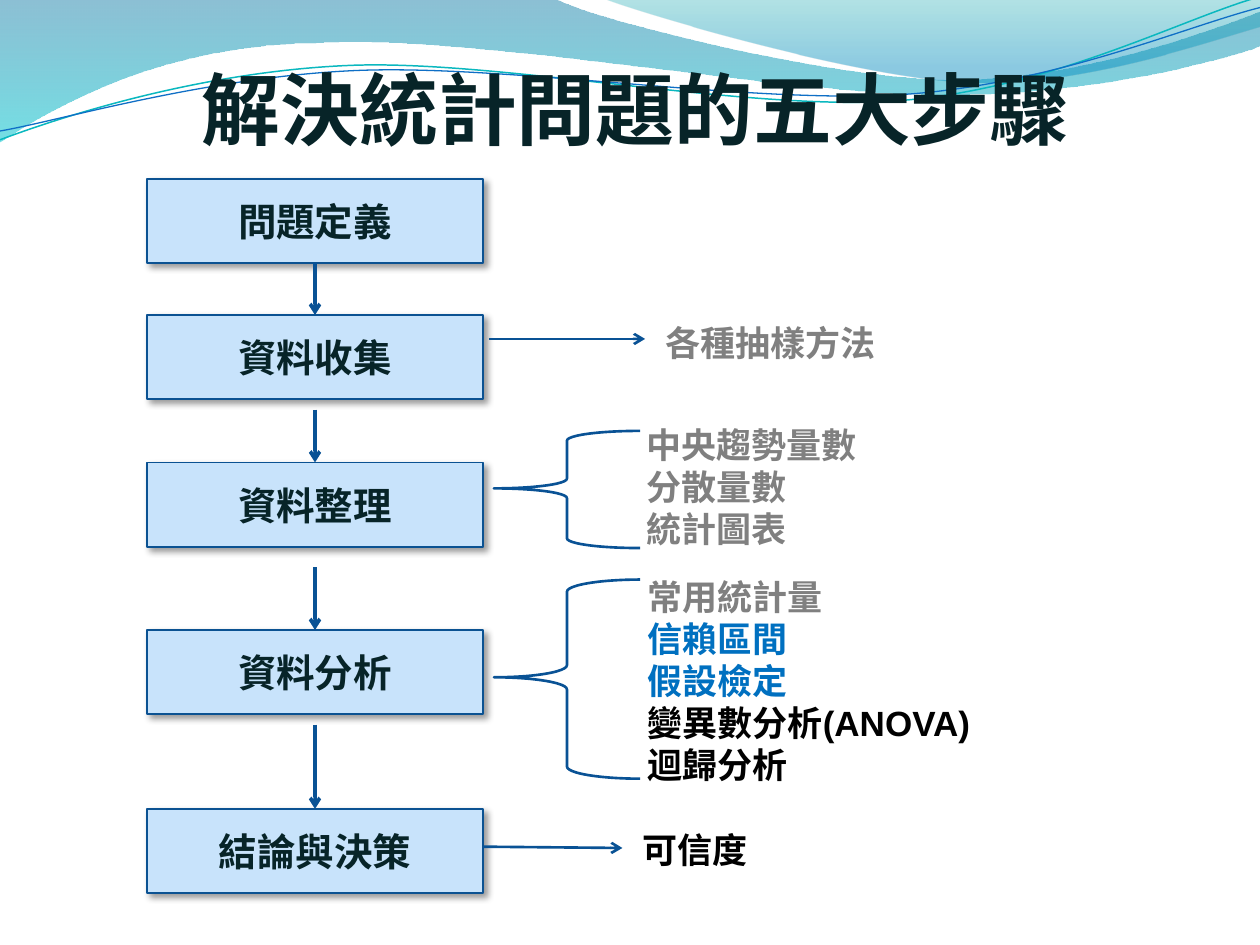
from dataclasses import dataclass
from typing import Optional

from lxml.etree import SubElement
from pptx import Presentation
from pptx.dml.color import RGBColor
from pptx.enum.shapes import MSO_CONNECTOR as CONN, MSO_SHAPE as SHAPE
from pptx.enum.text import MSO_ANCHOR as ANCHOR, MSO_AUTO_SIZE as FIT, PP_ALIGN as ALIGN
from pptx.oxml.ns import qn
from pptx.util import Inches, Pt

DARK, GREY, BLUE, BLACK = "072428", "808080", "0070C0", "000000"
BOX_FILL, BOX_LINE, ARROW = "C8E3FB", "0B5292", "095295"
BOX_MID, BOX_W, BOX_H = 2.5, 2.67, 0.67

Point = tuple[float, float]


@dataclass
class Wave:
    """A start point, then one point per straight edge or three per Bézier curve."""
    start: Point
    segments: list[tuple[float, ...]]
    stops: tuple[tuple[float, str, int], ...] = ()  # position, colour, opacity %
    line: Optional[tuple[str, float]] = None


@dataclass
class Step:
    text: str
    top: float
    arrow_from: Optional[float] = None  # None: joined to the box above


@dataclass
class Note:
    left: float
    top: float
    width: float
    height: float
    lines: list[tuple[str, str]]


WAVES = [
    Wave((0, -0.01), [(4.4, -0.01), (4.76, 0.17, 6.64, 0.63, 7.58, 0.63),
                      (8.53, 0.63, 9.58, 0.26, 10, 0.09), (10.01, 0.36),
                      (9.83, 0.44, 8.7, 0.76, 7.46, 0.75),
                      (6.22, 0.75, 3.82, 0.28, 2.57, 0.34),
                      (1.29, 0.35, 0.46, 0.83, -0.01, 1.13)],
         stops=((0, "0074A1", 45), (1, "00C6CF", 55))),
    Wave((4.79, -0.01), [(5.09, 0.11, 6.82, 0.62, 7.69, 0.65),
                         (8.56, 0.69, 9.61, 0.32, 10, 0.21), (10, 0)],
         stops=((0, "00A1A9", 30), (0.8, "008BBF", 45))),
    Wave((0, 1.11), [(0.48, 0.93, 1.58, 0.57, 2.77, 0.52),
                     (3.95, 0.47, 5.93, 0.89, 7.13, 0.8),
                     (8.33, 0.71, 9.38, 0.15, 9.98, -0.02)], line=("0AB8BF", 0.85)),
    Wave((0, 1.04), [(0.47, 0.96, 1.64, 0.61, 2.83, 0.56),
                     (4.03, 0.51, 5.97, 0.83, 7.17, 0.75),
                     (8.36, 0.67, 9.41, 0.21, 10, 0.06)], line=("0F6FC6", 0.75)),
]
STEPS = [Step("問題定義", 1.42), Step("資料收集", 2.5), Step("資料整理", 3.67, 3.25),
         Step("資料分析", 5, 4.5), Step("結論與決策", 6.42, 5.75)]
NOTES = [
    Note(5.18, 2.5, 1.88, 0.44, [("各種抽樣方法", GREY)]),
    Note(5.03, 3.31, 1.88, 1.11,
         [("中央趨勢量數", GREY), ("分散量數", GREY), ("統計圖表", GREY)]),
    Note(5.04, 4.52, 2.84, 1.78,
         [("常用統計量", GREY), ("信賴區間", BLUE), ("假設檢定", BLUE),
          ("變異數分析(ANOVA)", BLACK), ("迴歸分析", BLACK)]),
    Note(5, 6.53, 1.04, 0.44, [("可信度", BLACK)]),
]
NOTE_ARROWS = [((3.88, 2.69), (5.12, 2.69)), ((3.83, 6.72), (4.94, 6.73))]
BRACES = [(3.42, 0.93), (4.6, 1.58)]  # top, height


def rgb(value: str) -> RGBColor:
    return RGBColor.from_string(value)


def set_line(shape, color: str, width: float) -> None:
    shape.line.color.rgb = rgb(color)
    shape.line.width = Pt(width)


def write(p, text: str, size: float, font: str, color: str) -> None:
    r = p.add_run()
    r.text = text
    for name, value in {"size": Pt(size), "name": font, "bold": True}.items():
        setattr(r.font, name, value)
    r.font.color.rgb = rgb(color)


def bend_edges(sp, segments: list[tuple[float, ...]]) -> None:
    """Turn each edge that has control points into a cubic curve."""
    edges = list(sp._element.spPr.iter(qn("a:lnTo")))
    for edge, segment in zip(edges, segments):
        if len(segment) == 2:
            continue
        edge.tag = qn("a:cubicBezTo")
        for pt in list(edge):
            edge.remove(pt)
        for x, y in zip(segment[::2], segment[1::2]):
            SubElement(edge, qn("a:pt"), x=str(Inches(x) - sp.left), y=str(Inches(y) - sp.top))


def draw_wave(s, wave: Wave) -> None:
    builder = s.shapes.build_freeform(*map(Inches, wave.start))
    ends = [tuple(map(Inches, segment[-2:])) for segment in wave.segments]
    builder.add_line_segments(ends, close=bool(wave.stops))
    sp = builder.convert_to_shape()
    bend_edges(sp, wave.segments)
    sp.shadow.inherit = False
    if wave.line:
        sp.fill.background()
        set_line(sp, *wave.line)
        return
    sp.line.fill.background()
    sp.fill.gradient()
    sp.fill.gradient_angle = 270
    for stop, (position, color, _) in zip(sp.fill.gradient_stops, wave.stops):
        stop.position = position
        stop.color.rgb = rgb(color)
    for clr, (_, _, opacity) in zip(sp._element.spPr.iter(qn("a:srgbClr")), wave.stops):
        SubElement(clr, qn("a:alpha"), val=str(opacity * 1000))


def add_soft_shadow(sp) -> None:
    sp.shadow.inherit = False
    effects = sp._element.spPr.find(qn("a:effectLst"))
    shadow = SubElement(effects, qn("a:outerShdw"), blurRad=str(Pt(4)), dist=str(Pt(3)),
                        dir="2700000", algn="tl", rotWithShape="0")
    clr = SubElement(shadow, qn("a:srgbClr"), val=BLACK)
    SubElement(clr, qn("a:alpha"), val="40000")


def draw_box(s, step: Step):
    sp = s.shapes.add_shape(SHAPE.RECTANGLE, Inches(BOX_MID - BOX_W / 2), Inches(step.top),
                            Inches(BOX_W), Inches(BOX_H))
    sp.fill.solid()
    sp.fill.fore_color.rgb = rgb(BOX_FILL)
    set_line(sp, BOX_LINE, 1)
    add_soft_shadow(sp)
    sp.text_frame.vertical_anchor = ANCHOR.MIDDLE
    p = sp.text_frame.paragraphs[0]
    p.alignment = ALIGN.CENTER
    write(p, step.text, 22, "Cambria", DARK)
    return sp


def draw_arrow(s, start: Point, end: Point, width: float):
    c = s.shapes.add_connector(CONN.STRAIGHT, *map(Inches, start + end))
    set_line(c, ARROW, width)
    SubElement(c.line._get_or_add_ln(), qn("a:tailEnd"), type="arrow")
    SubElement(c._element.spPr, qn("a:effectLst"))
    return c


def draw_note(s, note: Note) -> None:
    box = s.shapes.add_textbox(*map(Inches, (note.left, note.top, note.width, note.height)))
    tf = box.text_frame
    tf.word_wrap = False
    tf.auto_size = FIT.SHAPE_TO_FIT_TEXT
    for i, (text, color) in enumerate(note.lines):
        p = tf.add_paragraph() if i else tf.paragraphs[0]
        write(p, text, 20, "Arial", color)


def draw_brace(s, top: float, height: float) -> None:
    sp = s.shapes.add_shape(SHAPE.LEFT_BRACE, *map(Inches, (3.92, top, 1.16, height)))
    sp.adjustments[0], sp.adjustments[1] = 0.083, 0.491
    sp.shadow.inherit = False
    sp.fill.background()
    set_line(sp, ARROW, 1.5)


def draw_title(s, text: str) -> None:
    title = s.shapes.title
    title._element.getparent().append(title._element)  # in front of the waves
    place = {"left": 0.5, "top": 0.5, "width": 9.08, "height": 0.73}
    for name, value in place.items():
        setattr(title, name, Inches(value))
    tf = title.text_frame
    frame = {"margin_left": 0, "margin_right": 0, "margin_top": Inches(0.05),
             "margin_bottom": 0, "vertical_anchor": ANCHOR.BOTTOM,
             "word_wrap": True, "auto_size": FIT.NONE}
    for name, value in frame.items():
        setattr(tf, name, value)
    tf.paragraphs[0].alignment = ALIGN.CENTER
    write(tf.paragraphs[0], text, 45, "Calibri", DARK)


def main() -> None:
    prs = Presentation()
    prs.slide_width, prs.slide_height = Inches(10), Inches(7.5)
    s = prs.slides.add_slide(prs.slide_layouts[5])
    for wave in WAVES:
        draw_wave(s, wave)
    draw_title(s, "解決統計問題的五大步驟")
    boxes = [draw_box(s, step) for step in STEPS]
    for above, box, step in zip(boxes, boxes[1:], STEPS[1:]):
        c = draw_arrow(s, (BOX_MID, step.arrow_from or 0), (BOX_MID, step.top), 2)
        if step.arrow_from is None:
            c.begin_connect(above, 2)
        c.end_connect(box, 0)
    for start, end in NOTE_ARROWS:
        draw_arrow(s, start, end, 1.5)
    for note in NOTES:
        draw_note(s, note)
    for top, height in BRACES:
        draw_brace(s, top, height)
    prs.save("out.pptx")


if __name__ == "__main__":
    main()
